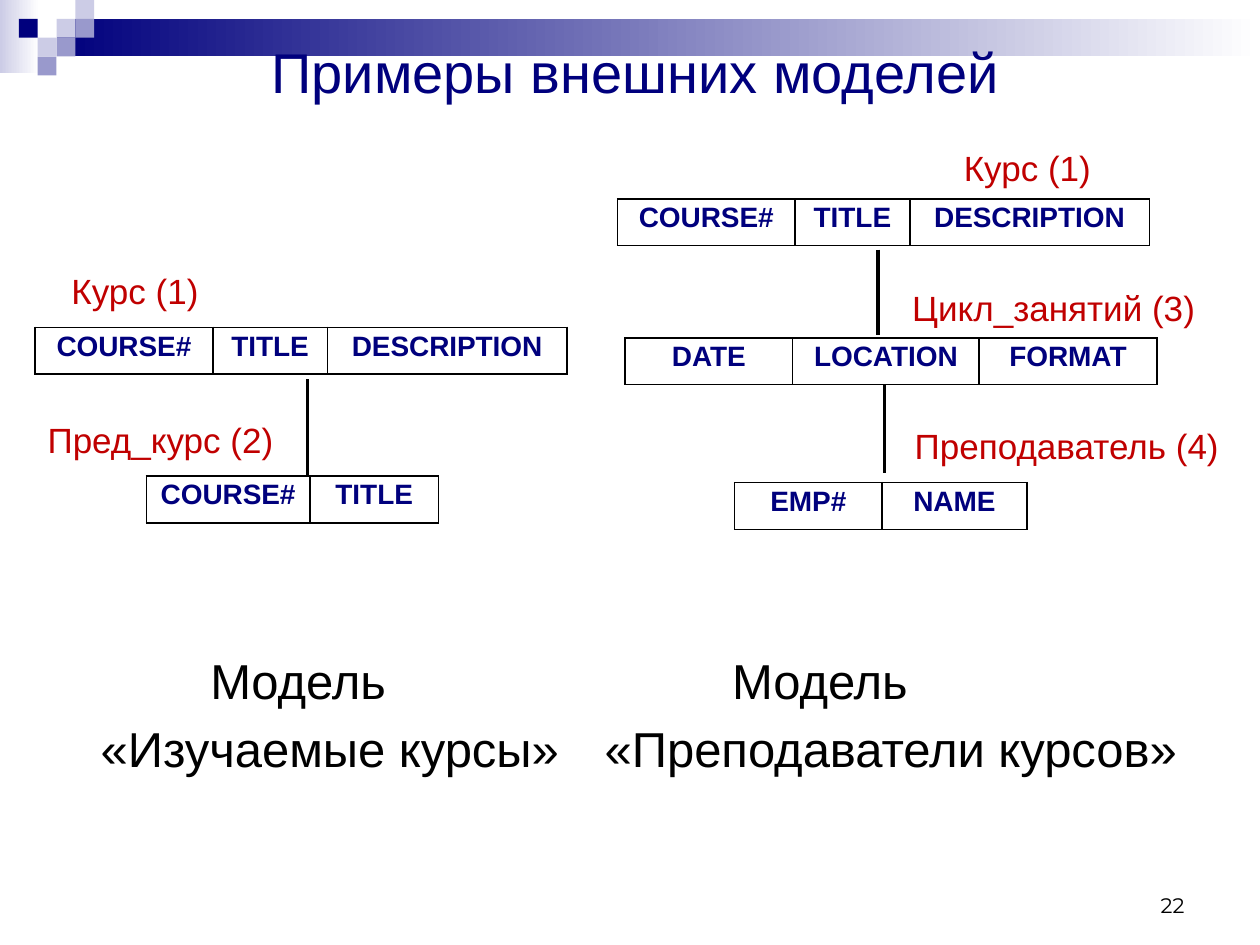
from lxml import etree
from pptx import Presentation
from pptx import util as u
from pptx.dml.color import RGBColor
from pptx.enum import shapes, text
from pptx.oxml import ns

Cm, Pt = u.Cm, u.Pt
NAVY = RGBColor(0x00, 0x00, 0x7D)
LILAC = RGBColor(0x99, 0x99, 0xCC)
PALE = RGBColor(0xCC, 0xCC, 0xE6)
RED = RGBColor(0xC0, 0x00, 0x00)
BLACK = RGBColor(0, 0, 0)
WHITE = RGBColor(255, 255, 255)
LEFT, CENTER, RIGHT = text.PP_ALIGN.LEFT, text.PP_ALIGN.CENTER, text.PP_ALIGN.RIGHT
TOP, MIDDLE, BOTTOM = text.MSO_ANCHOR.TOP, text.MSO_ANCHOR.MIDDLE, text.MSO_ANCHOR.BOTTOM


class SlideBuilder:
    font = "Arial"
    row_height = 0.94

    def __init__(self, slide):
        self.s = slide

    def format(self, p, size, color, align=LEFT, bold=False, font=None):
        p.alignment = align
        for r in p.runs:
            r.font.name = font or self.font
            r.font.size = Pt(size)
            r.font.bold = bold
            r.font.color.rgb = color

    def rect(self, x, y, w, h, color, fade=False):
        """Borderless rectangle; fade runs the colour out to white on the right."""
        sp = self.s.shapes.add_shape(shapes.MSO_SHAPE.RECTANGLE, Cm(x), Cm(y), Cm(w), Cm(h))
        sp.shadow.inherit = False
        sp.line.fill.background()
        if fade:
            sp.fill.gradient()
            sp.fill.gradient_angle = 0
            for stop, stop_color in zip(sp.fill.gradient_stops, (color, WHITE)):
                stop.color.rgb = stop_color
        else:
            sp.fill.solid()
            sp.fill.fore_color.rgb = color

    def text(self, x, y, w, h, lines, size, color, align=LEFT, anchor=TOP,
             font=None, spacing=None, tabs=()):
        """Text box; tabs holds the tab stops of each line in cm."""
        tf = self.s.shapes.add_textbox(Cm(x), Cm(y), Cm(w), Cm(h)).text_frame
        tf.word_wrap = True
        tf.vertical_anchor = anchor
        tf.text = "\n".join(lines)
        for p, stops in zip(tf.paragraphs, tabs):
            tab_list = etree.SubElement(p._p.get_or_add_pPr(), ns.qn("a:tabLst"))
            for stop in stops:
                etree.SubElement(tab_list, ns.qn("a:tab"), pos=str(Cm(stop)), algn="l")
        for i, p in enumerate(tf.paragraphs):
            if i:
                p.space_before = Pt(0.2 * size)
            if spacing:
                p.line_spacing = spacing
            self.format(p, size, color, align, font=font)

    def label(self, x, y, w, name):
        self.text(x, y, w, 1.02, [name], 20, RED, spacing=0.9)

    def record(self, x, y, fields):
        """One-row table from (field name, width) pairs."""
        width = sum(w for _, w in fields)
        table = self.s.shapes.add_table(1, len(fields), Cm(x), Cm(y), Cm(width),
                                        Cm(self.row_height)).table
        table.first_row = table.horz_banding = False
        for i, (name, w) in enumerate(fields):
            table.columns[i].width = Cm(w)
            cell = table.cell(0, i)
            cell.text = name
            p = cell.text_frame.paragraphs[0]
            p.line_spacing = 0.9
            self.format(p, 16, NAVY, CENTER, bold=True)
            self.border(cell)
            cell.fill.solid()
            cell.fill.fore_color.rgb = WHITE

    def border(self, cell):
        tc_pr = cell._tc.get_or_add_tcPr()
        for side in ("lnL", "lnR", "lnT", "lnB"):
            ln = etree.SubElement(tc_pr, ns.qn("a:" + side), w=str(Pt(1)))
            fill = etree.SubElement(ln, ns.qn("a:solidFill"))
            etree.SubElement(fill, ns.qn("a:srgbClr"), val=str(BLACK))

    def link(self, x, y1, y2):
        line = self.s.shapes.add_connector(shapes.MSO_CONNECTOR.STRAIGHT,
                                           Cm(x), Cm(y1), Cm(x), Cm(y2))
        line.line.color.rgb = BLACK
        line.line.width = Pt(2)
        etree.SubElement(line._element.spPr, ns.qn("a:effectLst"))


def main():
    prs = Presentation()
    prs.slide_width, prs.slide_height = Cm(25.4), Cm(19.05)
    b = SlideBuilder(prs.slides.add_slide(prs.slide_layouts[6]))

    b.rect(0, 0, 0.79, 1.47, PALE, fade=True)
    b.rect(1.14, 0.38, 24.26, 0.76, NAVY, fade=True)
    tile = 0.38
    for col, row, color in ((3, 1, PALE), (4, 0, PALE), (4, 1, LILAC), (2, 2, PALE),
                            (1, 1, NAVY), (3, 2, LILAC), (2, 3, LILAC)):
        b.rect(col * tile, row * tile, tile, tile, color)

    b.text(1.4, 0.71, 22.83, 1.45, ["Примеры внешних моделей"], 32, NAVY, CENTER, MIDDLE)
    b.text(1.78, 12.98, 22.91, 2.9,
           ["\tМодель\tМодель", "«Изучаемые курсы»\t«Преподаватели курсов»"],
           28, BLACK, tabs=((2.21, 12.73), (10.16,)))
    b.text(18.21, 17.35, 5.92, 1.27, ["22"], 12, BLACK, RIGHT, BOTTOM, font="Montserrat")

    course = (("COURSE#", 3.58), ("TITLE", 2.31), ("DESCRIPTION", 4.83))
    b.record(0.71, 6.6, course)
    b.record(2.95, 9.6, (("COURSE#", 3.3), ("TITLE", 2.59)))
    b.record(12.45, 4.01, course)
    b.record(12.6, 6.81, (("DATE", 3.38), ("LOCATION", 3.76), ("FORMAT", 3.58)))
    b.record(14.81, 9.73, (("EMP#", 2.97), ("NAME", 2.92)))

    b.label(1.19, 5.4, 3.76, "Курс (1)")
    b.label(0.71, 8.4, 5.16, "Пред_курс (2)")
    b.label(19.18, 2.92, 3.76, "Курс (1)")
    b.label(18.14, 5.74, 6.68, "Цикл_занятий (3)")
    b.label(18.19, 8.53, 6.88, "Преподаватель (4)")

    b.link(6.2, 7.65, 9.6)
    b.link(17.7, 5.03, 6.76)
    b.link(17.83, 7.75, 9.53)

    prs.save("out.pptx")


if __name__ == "__main__":
    main()
